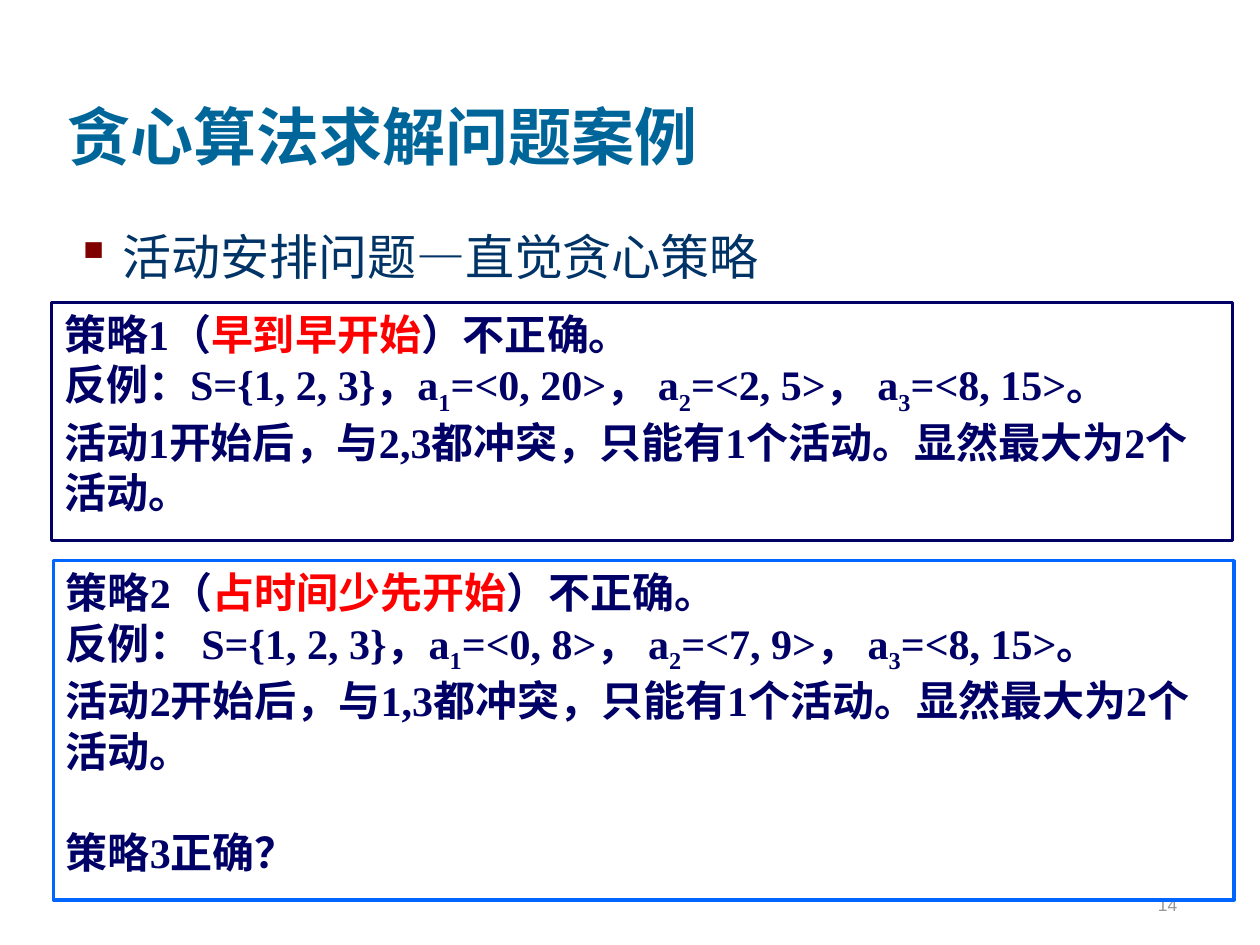
"""Build the slide on greedy strategies for the activity selection problem."""
from dataclasses import dataclass

from lxml.etree import SubElement
from pptx import Presentation
from pptx.dml.color import RGBColor
from pptx.enum.shapes import MSO_SHAPE
from pptx.enum.text import MSO_ANCHOR, PP_ALIGN
from pptx.oxml.ns import qn
from pptx.util import Pt


@dataclass(frozen=True)
class Theme:
    serif: str = "Times New Roman"
    sans: str = "Arial"
    title: str = "006699"
    topic: str = "003366"
    bullet: str = "800000"
    body: str = "000066"
    accent: str = "FF0000"
    bright: str = "0066FF"
    muted: str = "969696"
    paper: str = "FFFFFF"
    title_size: int = 36
    topic_size: int = 28
    body_size: int = 24
    number_size: int = 10


THEME = Theme()
TITLE = "贪心算法求解问题案例"
TOPIC = "活动安排问题—直觉贪心策略"
PAGE_NUMBER = "14"
STRATEGIES = [
    {
        "box": (29.5, 172.8, 674.8, 136),
        "line": THEME.body,
        "number": 1,
        "name": "早到早开始",
        "example": "反例：S={1, 2, 3}，",
        "activities": ["<0, 20>", "<2, 5>", "<8, 15>"],
        "outcome": "活动1开始后，与2,3都冲突，只能有1个活动。显然最大为2个活动。",
    },
    {
        "box": (30.5, 320.4, 674.8, 193.8),
        "line": THEME.bright,
        "number": 2,
        "name": "占时间少先开始",
        "example": "反例： S={1, 2, 3}，",
        "activities": ["<0, 8>", "<7, 9>", "<8, 15>"],
        "outcome": "活动2开始后，与1,3都冲突，只能有1个活动。显然最大为2个活动。",
        "question": "策略3正确？",
    },
]


def add_run(paragraph, text, *, size=THEME.body_size, color=THEME.body,
            font=THEME.serif, bold=True, subscript=False):
    """Append a formatted run to a paragraph."""
    run = paragraph.add_run()
    run.text = text
    run.font.size = Pt(size)
    run.font.name = font
    run.font.bold = bold
    run.font.color.rgb = RGBColor.from_string(color)
    if subscript:
        run.font._element.set("baseline", "-25000")


def prepare(shape, anchor=MSO_ANCHOR.TOP, align=PP_ALIGN.LEFT):
    """Set wrapping and alignment, and return the first paragraph."""
    frame = shape.text_frame
    frame.word_wrap = True
    frame.vertical_anchor = anchor
    frame.paragraphs[0].alignment = align
    return frame.paragraphs[0]


def add_label(slide, box, text, anchor=MSO_ANCHOR.TOP, align=PP_ALIGN.LEFT, **style):
    """Add a one-line text box and return its paragraph."""
    shape = slide.shapes.add_textbox(*map(Pt, box))
    paragraph = prepare(shape, anchor, align)
    add_run(paragraph, text, **style)
    return paragraph


def add_bullet(paragraph, indent):
    """Give a paragraph a square bullet with a hanging indent."""
    properties = paragraph._p.get_or_add_pPr()
    properties.set("marL", str(Pt(indent)))
    properties.set("indent", str(-Pt(indent)))
    color = SubElement(properties, qn("a:buClr"))
    SubElement(color, qn("a:srgbClr"), val=THEME.bullet)
    SubElement(properties, qn("a:buChar"), char="▪")


def add_strategy(slide, strategy):
    """Add the framed discussion of one strategy."""
    shape = slide.shapes.add_shape(MSO_SHAPE.RECTANGLE, *map(Pt, strategy["box"]))
    shape.shadow.inherit = False
    shape.fill.solid()
    shape.fill.fore_color.rgb = RGBColor.from_string(THEME.paper)
    shape.line.color.rgb = RGBColor.from_string(strategy["line"])
    shape.line.width = Pt(2)

    heading = prepare(shape)
    add_run(heading, f"策略{strategy['number']}（")
    add_run(heading, strategy["name"], color=THEME.accent)
    add_run(heading, "）不正确。")

    example = shape.text_frame.add_paragraph()
    lead = strategy["example"]
    for index, interval in enumerate(strategy["activities"], 1):
        add_run(example, f"{lead}a")
        add_run(example, str(index), subscript=True)
        lead = f"={interval}， "
    add_run(example, f"={interval}。")

    outcome = shape.text_frame.add_paragraph()
    add_run(outcome, strategy["outcome"])
    paragraphs = [example, outcome]
    if "question" in strategy:
        question = shape.text_frame.add_paragraph()
        question.space_before = Pt(29)
        add_run(question, strategy["question"])
        paragraphs.append(question)
    for paragraph in paragraphs:
        paragraph.alignment = PP_ALIGN.LEFT


def main():
    """Assemble and save the presentation."""
    presentation = Presentation()
    presentation.slide_width, presentation.slide_height = Pt(720), Pt(540)
    slide = presentation.slides.add_slide(presentation.slide_layouts[6])
    add_label(slide, (31.7, 12.2, 612, 90), TITLE, MSO_ANCHOR.BOTTOM,
              size=THEME.title_size, color=THEME.title)
    topic = add_label(slide, (36, 126, 643.7, 351.4), TOPIC,
                      size=THEME.topic_size, color=THEME.topic, bold=False)
    add_bullet(topic, 27)
    add_label(slide, (530, 490.3, 149.8, 36), PAGE_NUMBER, MSO_ANCHOR.BOTTOM,
              PP_ALIGN.RIGHT, size=THEME.number_size, color=THEME.muted,
              font=THEME.sans, bold=False)
    for strategy in STRATEGIES:
        add_strategy(slide, strategy)
    presentation.save("out.pptx")


if __name__ == "__main__":
    main()
